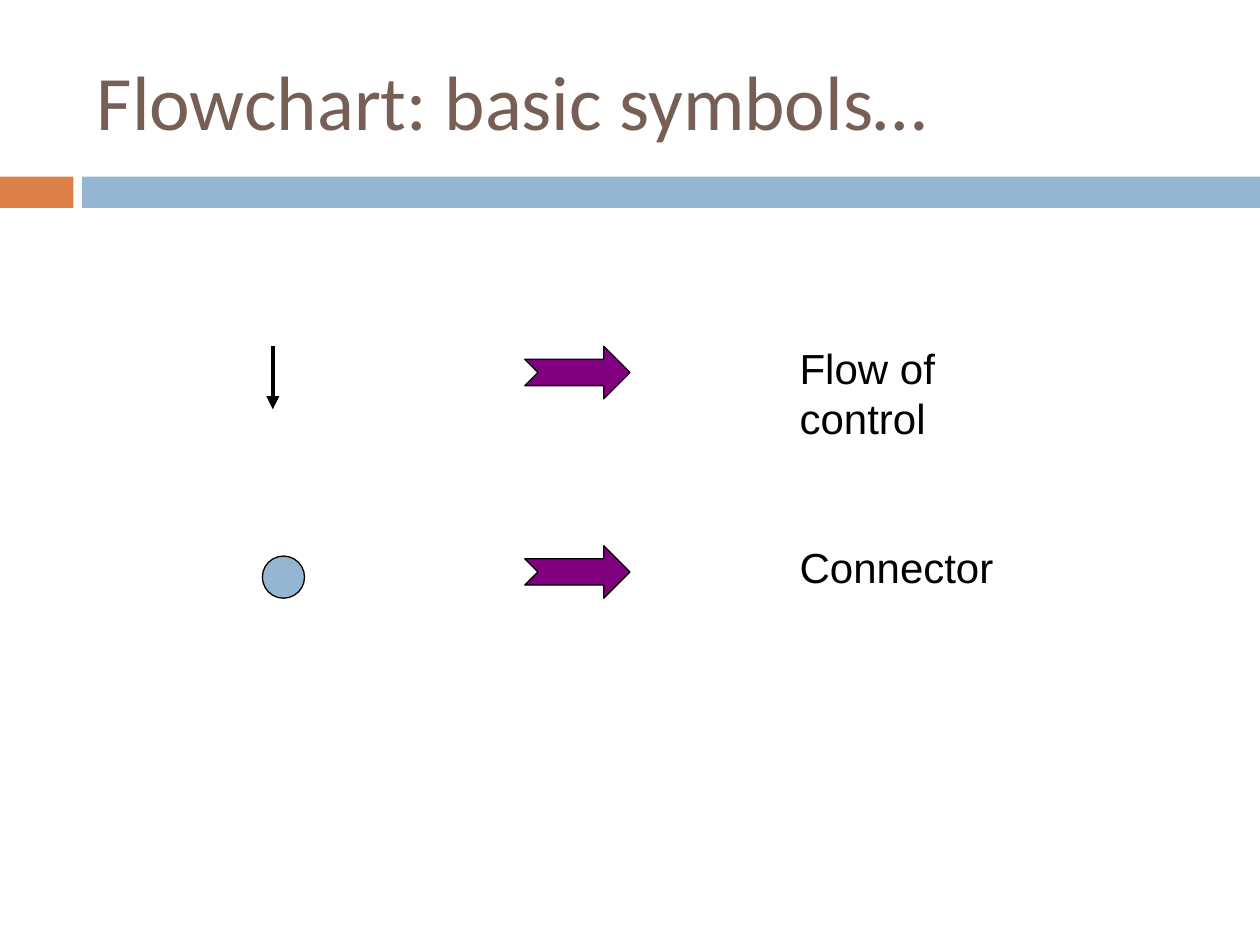
from lxml import etree
from pptx import Presentation
from pptx.dml.color import RGBColor
from pptx.enum.shapes import MSO_CONNECTOR, MSO_SHAPE
from pptx.enum.text import MSO_ANCHOR
from pptx.oxml.ns import qn
from pptx.util import Cm, Pt

STRAIGHT = MSO_CONNECTOR.STRAIGHT
RECTANGLE = MSO_SHAPE.RECTANGLE
NOTCHED_ARROW = MSO_SHAPE.NOTCHED_RIGHT_ARROW
CONNECTOR_CIRCLE = MSO_SHAPE.FLOWCHART_CONNECTOR
TOP, MIDDLE = MSO_ANCHOR.TOP, MSO_ANCHOR.MIDDLE

BLACK, BLUE, ORANGE = "000000", "94B6D2", "DD8047"
PURPLE, BROWN = "800080", "775F55"


def color(hex_string):
    return RGBColor.from_string(hex_string)


def add_filled(slide, preset, left, top, width, height, fill, outline=None):
    shape = slide.shapes.add_shape(preset, Cm(left), Cm(top), Cm(width), Cm(height))
    shape.shadow.inherit = False
    shape.fill.solid()
    shape.fill.fore_color.rgb = color(fill)
    if outline:
        shape.line.color.rgb = color(outline)
        shape.line.width = Pt(0.75)
    else:
        shape.line.fill.background()


def add_label(slide, left, top, width, height, text, font, size, fill, anchor=TOP):
    frame = slide.shapes.add_textbox(
        Cm(left), Cm(top), Cm(width), Cm(height)).text_frame
    frame.word_wrap = True
    frame.vertical_anchor = anchor
    run = frame.paragraphs[0].add_run()
    run.text = text
    run.font.name = font
    run.font.size = Pt(size)
    run.font.color.rgb = color(fill)


def add_header(slide, left, top, width):
    # Title above a two-colour band
    add_label(slide, left + 1.7, top + 0.64, 22.66, 2.74,
              "Flowchart: basic symbols…", "Calibri", 44, BROWN, MIDDLE)
    band_top, band_height, blue_left = top + 3.56, 0.63, 1.65
    add_filled(slide, RECTANGLE, left, band_top, 1.48, band_height, ORANGE)
    add_filled(slide, RECTANGLE, left + blue_left, band_top,
               width - blue_left, band_height, BLUE)


def draw_flow_line(slide, left, top):
    x, y = Cm(left + 0.21), Cm(top + 0.21)
    flow = slide.shapes.add_connector(STRAIGHT, x, y, x, y + Cm(1.27))
    flow.line.color.rgb = color(BLACK)
    flow.line.width = Pt(2.5)
    etree.SubElement(flow.line._get_or_add_ln(), qn("a:tailEnd"), type="triangle")
    etree.SubElement(flow._element.spPr, qn("a:effectLst"))


def draw_connector_circle(slide, left, top):
    add_filled(slide, CONNECTOR_CIRCLE, left, top + 0.42, 0.85, 0.85, BLUE, BLACK)


def add_symbol_row(slide, left, top, height, draw_symbol, meaning):
    # Symbol, arrow, meaning
    draw_symbol(slide, left, top)
    add_filled(slide, NOTCHED_ARROW, left + 5.29, top + 0.21, 2.12, 1.06,
               PURPLE, BLACK)
    add_label(slide, left + 10.58, top, 5.5, height, meaning, "Arial", 24, BLACK)


def main():
    prs = Presentation()
    prs.slide_width, prs.slide_height = Cm(25.4), Cm(19.05)
    slide = prs.slides.add_slide(prs.slide_layouts[6])
    add_header(slide, 0, 0, 25.4)

    symbols = [(draw_flow_line, "Flow of control", 2.29),
               (draw_connector_circle, "Connector", 1.27)]
    for index, (draw_symbol, meaning, height) in enumerate(symbols):
        add_symbol_row(slide, 5.29, 6.77 + index * 4.02, height, draw_symbol, meaning)

    prs.save("out.pptx")


if __name__ == "__main__":
    main()
